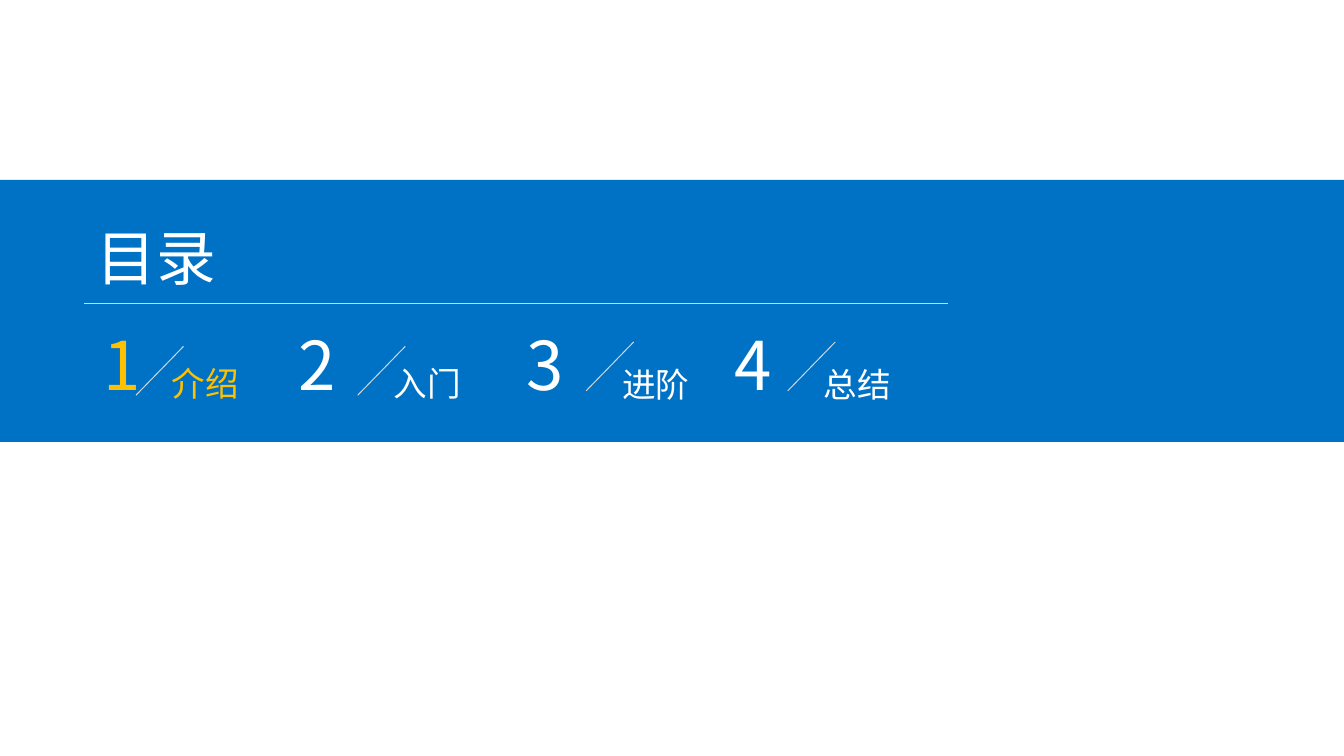
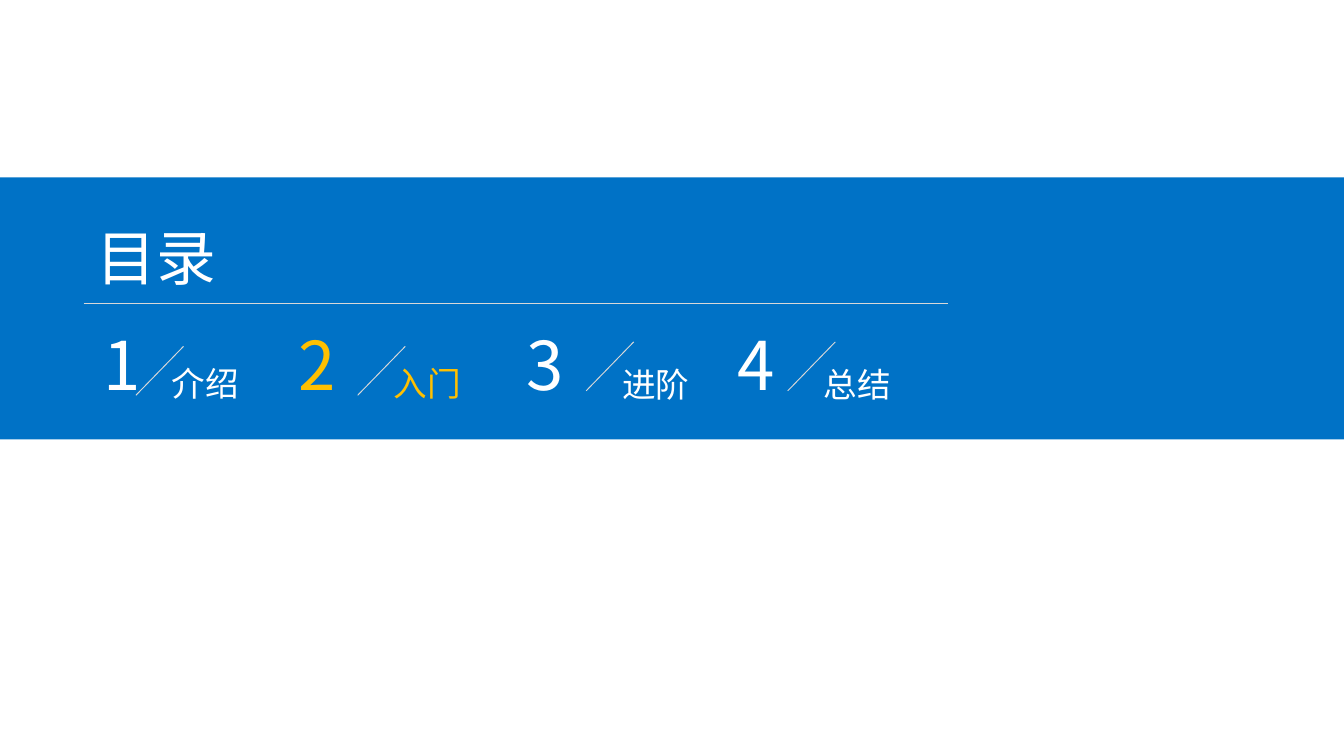
from dataclasses import dataclass

import lxml.etree
import pptx
import pptx.dml.color
import pptx.enum.shapes
import pptx.enum.text
import pptx.oxml.ns
import pptx.slide
import pptx.util

Pt = pptx.util.Pt


@dataclass(frozen=True)
class Theme:
    band: str = "0072C6"
    rule: str = "D8D8D8"
    text: str = "FFFFFF"
    active: str = "FFC000"
    heading_font: str = "Noto Sans CJK SC"
    label_font: str = "Noto Sans CJK JP"
    heading_size: float = 32
    number_size: float = 36
    label_size: float = 18
    rule_width: float = 0.5


@dataclass(frozen=True)
class Chapter:
    title: str
    number_left: float
    label_left: float
    label_top: float
    slash_top: float


@dataclass(frozen=True)
class Agenda:
    active_number: int
    band_top: float
    last_number_shift: float = 0


THEME = Theme()
SLIDE_WIDTH = 720
SLIDE_HEIGHT = 405
BAND_HEIGHT = 140.4
MARGIN = 44.8
RULE_RIGHT = 507.6
RULE_TOP = 162.6
NUMBER_TOP = 169.9
SLASH_OFFSET = 12.2
SLASH_WIDTH = 25.5
SLASH_HEIGHT = 26.2

CHAPTERS = (
    Chapter("介绍", 48.2, 85, 190.8, 185.6),
    Chapter("入门", 152.6, 203.8, 190.8, 185.6),
    Chapter("进阶", 275, 326.2, 191.5, 183.2),
    Chapter("总结", 386.3, 434.2, 191.5, 183.2),
)
AGENDAS = (
    Agenda(active_number=1, band_top=96.4),
    Agenda(active_number=2, band_top=95, last_number_shift=2),
)


def rgb(value: str) -> pptx.dml.color.RGBColor:
    return pptx.dml.color.RGBColor.from_string(value)


def add_band(slide: pptx.slide.Slide, top: float) -> None:
    shape = slide.shapes.add_shape(
        pptx.enum.shapes.MSO_SHAPE.RECTANGLE, 0, Pt(top), Pt(SLIDE_WIDTH), Pt(BAND_HEIGHT)
    )
    shape.shadow.inherit = False
    shape.fill.solid()
    shape.fill.fore_color.rgb = rgb(THEME.band)
    shape.line.fill.background()


def add_rule(slide: pptx.slide.Slide, *ends: float) -> None:
    connector = slide.shapes.add_connector(
        pptx.enum.shapes.MSO_CONNECTOR.STRAIGHT, *(Pt(end) for end in ends)
    )
    connector.line.color.rgb = rgb(THEME.rule)
    connector.line.width = Pt(THEME.rule_width)
    properties = connector._element.spPr
    lxml.etree.SubElement(properties, pptx.oxml.ns.qn("a:effectLst"))


def add_text(
    slide: pptx.slide.Slide,
    text: str,
    left: float,
    top: float,
    width: float,
    height: float,
    size: float,
    font_name: str,
    color: str,
) -> None:
    shape = slide.shapes.add_textbox(Pt(left), Pt(top), Pt(width), Pt(height))
    frame = shape.text_frame
    frame_format = {
        "word_wrap": True,
        "auto_size": pptx.enum.text.MSO_AUTO_SIZE.SHAPE_TO_FIT_TEXT,
    }
    for name, value in frame_format.items():
        setattr(frame, name, value)
    run = frame.paragraphs[0].add_run()
    run.text = text
    for name, value in {"size": Pt(size), "name": font_name}.items():
        setattr(run.font, name, value)
    run.font.color.rgb = rgb(color)
    east_asian = lxml.etree.SubElement(run._r.get_or_add_rPr(), pptx.oxml.ns.qn("a:ea"))
    east_asian.set("typeface", font_name)


def add_chapter(
    slide: pptx.slide.Slide, chapter: Chapter, number: int, number_left: float, color: str
) -> None:
    add_text(
        slide, str(number), number_left, NUMBER_TOP, 24.5, 50.4,
        THEME.number_size, THEME.heading_font, color,
    )
    slash_left = chapter.label_left - SLASH_OFFSET
    add_rule(
        slide, slash_left + SLASH_WIDTH, chapter.slash_top,
        slash_left, chapter.slash_top + SLASH_HEIGHT,
    )
    add_text(
        slide, chapter.title, chapter.label_left, chapter.label_top, 110.9, 28.8,
        THEME.label_size, THEME.label_font, color,
    )


def add_agenda(presentation, agenda: Agenda) -> None:
    slide = presentation.slides.add_slide(presentation.slide_layouts[6])
    add_band(slide, agenda.band_top)
    add_rule(slide, MARGIN, RULE_TOP, RULE_RIGHT, RULE_TOP)
    add_text(
        slide, "目录", MARGIN, 114.5, 130.3, 46.1,
        THEME.heading_size, THEME.heading_font, THEME.text,
    )
    for number, chapter in enumerate(CHAPTERS, start=1):
        color = THEME.active if number == agenda.active_number else THEME.text
        shift = agenda.last_number_shift if number == len(CHAPTERS) else 0
        add_chapter(slide, chapter, number, chapter.number_left + shift, color)


def main() -> None:
    presentation = pptx.Presentation()
    presentation.slide_width = Pt(SLIDE_WIDTH)
    presentation.slide_height = Pt(SLIDE_HEIGHT)
    for agenda in AGENDAS:
        add_agenda(presentation, agenda)
    presentation.save("out.pptx")


if __name__ == "__main__":
    main()
